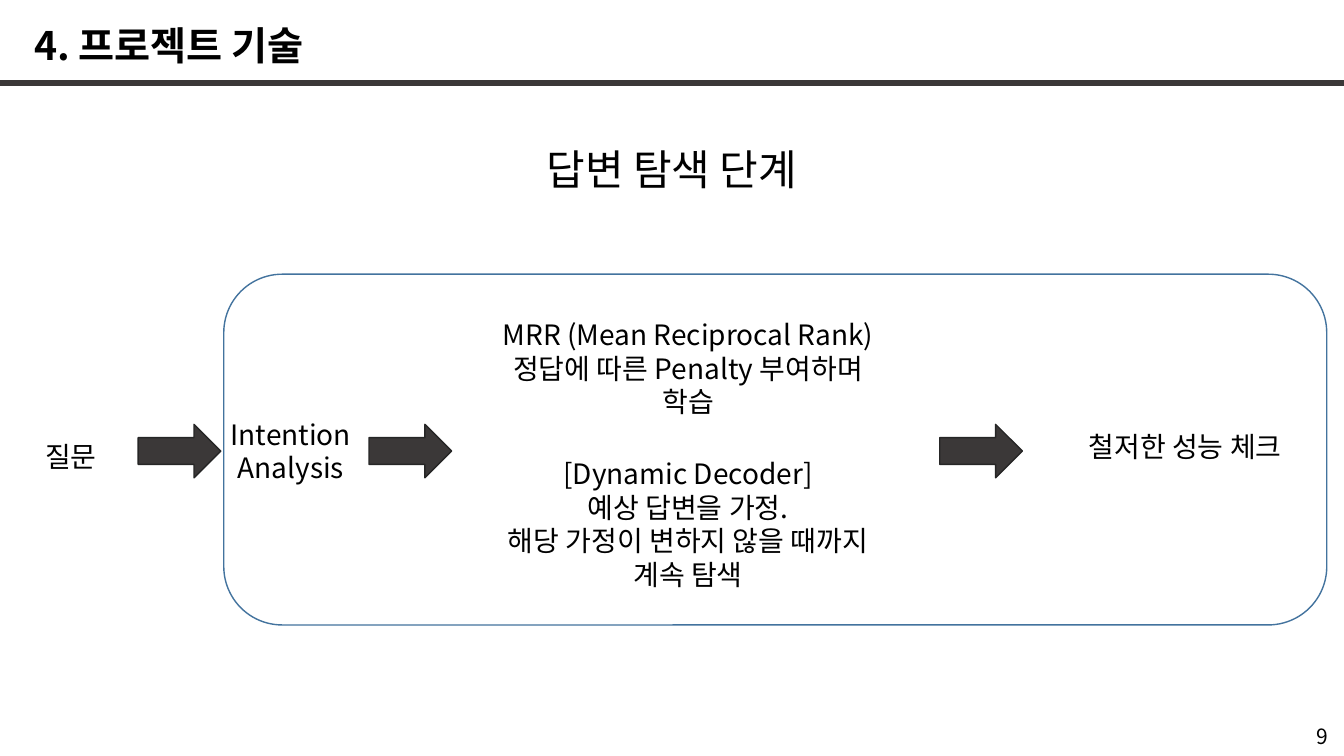
from lxml import etree
from pptx import Presentation
from pptx import util as u
from pptx.dml.color import RGBColor
from pptx.enum import shapes, text
from pptx.oxml import ns

FONT = "Noto Sans CJK KR"
COLORS = {"ink": "000000", "bar": "3B3838", "arrow_edge": "262626", "frame": "43739E"}
SLIDE_W, SLIDE_H = u.Inches(13.33), u.Inches(7.5)
LINE_HEIGHT = 1.2
WIDE, NARROW = 31.43, 16.73
ARROW_TOP, ARROW_W, ARROW_H = 56.13, 6.15, 7.07


def color(name):
    return RGBColor.from_string(COLORS[name])


def share(left, top, width, height):
    return (
        int(SLIDE_W * left / 100),
        int(SLIDE_H * top / 100),
        int(SLIDE_W * width / 100),
        int(SLIDE_H * height / 100),
    )


def add_label(slide, area, lines, size=20, align=text.PP_ALIGN.CENTER, bold=False):
    frame = slide.shapes.add_textbox(*share(*area)).text_frame
    frame.word_wrap = True
    frame.auto_size = text.MSO_AUTO_SIZE.SHAPE_TO_FIT_TEXT
    frame.text = "\n".join(lines)
    for paragraph in frame.paragraphs:
        paragraph.alignment = align
        paragraph.line_spacing = u.Pt(size * LINE_HEIGHT)
        font = paragraph.font
        font.size = u.Pt(size)
        font.bold = bold
        font.color.rgb = color("ink")
        font.name = FONT
        defaults = paragraph._p.pPr.find(ns.qn("a:defRPr"))
        etree.SubElement(defaults, ns.qn("a:ea")).set("typeface", FONT)


def add_figure(slide, kind, area, edge, fill=None):
    figure = slide.shapes.add_shape(kind, *share(*area))
    figure.shadow.inherit = False
    if fill:
        figure.fill.solid()
        figure.fill.fore_color.rgb = color(fill)
    else:
        figure.fill.background()
    figure.line.color.rgb = color(edge)
    figure.line.width = u.Pt(1)


def add_step_arrow(slide, left):
    area = (left, ARROW_TOP, ARROW_W, ARROW_H)
    add_figure(slide, shapes.MSO_SHAPE.RIGHT_ARROW, area, "arrow_edge", "bar")


def main():
    deck = Presentation()
    deck.slide_width, deck.slide_height = SLIDE_W, SLIDE_H
    slide = deck.slides.add_slide(deck.slide_layouts[6])

    left = text.PP_ALIGN.LEFT
    add_label(slide, (1.8, 2.13, 23.7, 7.6), ["4. 프로젝트 기술"], 28, left, True)
    add_figure(slide, shapes.MSO_SHAPE.RECTANGLE, (0, 10.67, 100, 0.67), "bar", "bar")
    add_label(slide, (97.22, 95.07, 2.4, 4.67), ["9"], 15, left)
    add_label(slide, (34.28, 18.27, WIDE, 8.13), ["답변 탐색 단계"], 30)

    add_label(slide, (-3.08, 57.47, NARROW, 5.87), ["질문"])
    add_label(slide, (13.28, 54.53, NARROW, 10.27), ["Intention", "Analysis"])
    add_label(
        slide,
        (35.48, 41.33, WIDE, 14.8),
        ["MRR (Mean Reciprocal Rank)", "정답에 따른 Penalty 부여하며 학습"],
    )
    add_label(
        slide,
        (35.48, 59.73, WIDE, 19.33),
        ["[Dynamic Decoder]", "예상 답변을 가정.", "해당 가정이 변하지 않을 때까지 계속 탐색"],
    )
    add_label(slide, (72.47, 56.13, WIDE, 5.87), ["철저한 성능 체크"])

    for arrow_left in (10.28, 27.46, 69.92):
        add_step_arrow(slide, arrow_left)
    add_figure(
        slide, shapes.MSO_SHAPE.ROUNDED_RECTANGLE, (16.65, 36.27, 82.07, 46.4), "frame"
    )

    deck.save("out.pptx")


if __name__ == "__main__":
    main()
